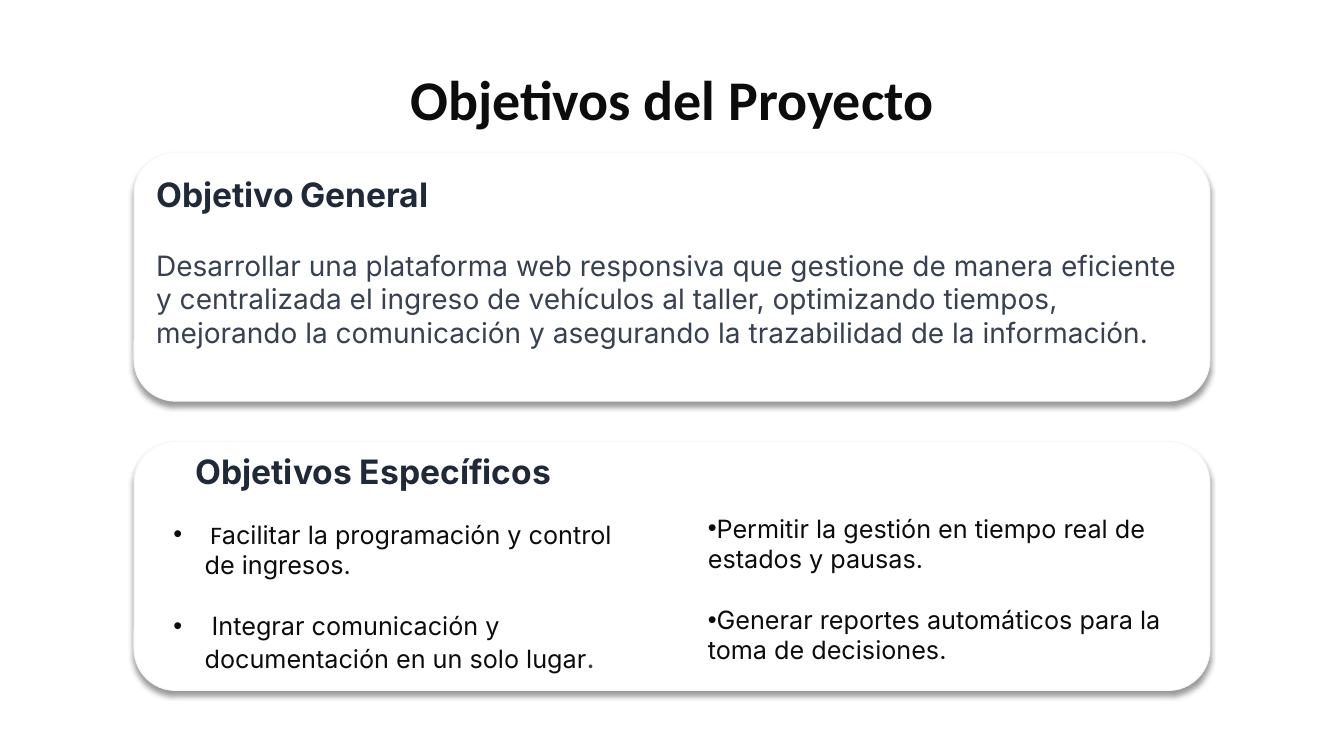
from dataclasses import dataclass

import pptx
import pptx.dml.color
import pptx.enum.shapes
import pptx.enum.text
import pptx.oxml
import pptx.oxml.ns
import pptx.util
from pptx.util import Inches, Pt


@dataclass(frozen=True)
class Theme:
    ink: str = "0C0C0C"
    heading: str = "1F2937"
    body: str = "374151"
    card: str = "FFFFFF"
    edge: str = "F4F8FB"
    title_font: str = "Calibri"
    text_font: str = "Inter"
    title_size: int = 40
    heading_size: int = 24
    body_size: int = 20
    list_size: int = 18
    list_gap: int = 22


THEME = Theme()


def rgb(color):
    return pptx.dml.color.RGBColor.from_string(color)


def style(font, size=None, color=None, name=None, bold=None):
    if size:
        font.size = Pt(size)
    if color:
        font.color.rgb = rgb(color)
    if name:
        font.name = name
    if bold is not None:
        font.bold = bold


def place(sp, x, y, w, h):
    sp.left, sp.top, sp.width, sp.height = map(Inches, (x, y, w, h))


def write(p, runs, size, color, name=THEME.text_font, bold=False):
    p.space_before = Pt(0)
    style(p.font, size, color, name, bold)
    for text, changes in runs:
        r = p.add_run()
        r.text = text
        style(r.font, **changes)


def prepare(sp, anchor=pptx.enum.text.MSO_ANCHOR.TOP):
    tf = sp.text_frame
    tf.word_wrap = True
    tf.auto_size = pptx.enum.text.MSO_AUTO_SIZE.NONE
    tf.vertical_anchor = anchor
    return tf


def add_title(s, text):
    sp = s.shapes.title
    place(sp, 3.94, 0.59, 5.45, 0.77)
    p = prepare(sp).paragraphs[0]
    p.alignment = pptx.enum.text.PP_ALIGN.CENTER
    write(p, [(text, {})], THEME.title_size, THEME.ink, THEME.title_font, True)


def add_card(s, y):
    sp = s.shapes.add_shape(
        pptx.enum.shapes.MSO_SHAPE.ROUNDED_RECTANGLE,
        Inches(1.33), Inches(y), Inches(10.67), Inches(2.47))
    sp.fill.solid()
    sp.fill.fore_color.rgb = rgb(THEME.card)
    sp.line.color.rgb = rgb(THEME.edge)
    sp.line.width = Pt(0.75)
    sp.shadow.inherit = False
    effects = sp.element.spPr.find(pptx.oxml.ns.qn("a:effectLst"))
    effects.append(pptx.oxml.parse_xml(
        f'<a:outerShdw {pptx.oxml.ns.nsdecls("a")} blurRad="{Pt(4)}" dist="{Pt(3)}" '
        'dir="5400000" algn="t" rotWithShape="0">'
        '<a:srgbClr val="000000"><a:alpha val="40000"/></a:srgbClr></a:outerShdw>'))
    s.shapes.element.insert(2, sp.element)
    return sp


def fill_general(sp, heading, text):
    tf = prepare(sp, pptx.enum.text.MSO_ANCHOR.MIDDLE)
    tf.margin_bottom = Inches(0.35)
    p = tf.paragraphs[0]
    write(p, heading, THEME.heading_size, THEME.heading, bold=True)
    p.space_after = Pt(24)
    body = tf.add_paragraph()
    write(body, [(text, {})], THEME.body_size, THEME.body)
    for p in tf.paragraphs:
        p.alignment = pptx.enum.text.PP_ALIGN.LEFT


def add_heading(s, text, x, y, w, h):
    sp = s.shapes.add_textbox(*map(Inches, (x, y, w, h)))
    write(prepare(sp).paragraphs[0], [(text, {})],
          THEME.heading_size, THEME.heading, bold=True)


def set_bullet(p, hang):
    pPr = p._p.get_or_add_pPr()
    pPr.set("marL", str(Inches(hang)))
    pPr.set("indent", str(-Inches(hang)))
    ns = pptx.oxml.ns.nsdecls("a")
    bullet = (
        f'<a:buClr {ns}><a:srgbClr val="{THEME.ink}"/></a:buClr>',
        f'<a:buFont {ns} typeface="Arial"/>',
        f'<a:buChar {ns} char="•"/>')
    default_font = pPr.find(pptx.oxml.ns.qn("a:defRPr"))
    for xml in bullet:
        default_font.addprevious(pptx.oxml.parse_xml(xml))


def fill_list(sp, box, items, hang):
    place(sp, *box)
    tf = prepare(sp)
    for i, runs in enumerate(items):
        p = tf.add_paragraph() if i else tf.paragraphs[0]
        write(p, runs, THEME.list_size, THEME.ink)
        if i:
            p.space_before = Pt(THEME.list_gap)
        set_bullet(p, hang)


def main():
    prs = pptx.Presentation()
    prs.slide_width, prs.slide_height = Inches(13.33), Inches(7.5)
    s = prs.slides.add_slide(prs.slide_layouts.get_by_name("Two Content"))
    left, right = s.placeholders[1], s.placeholders[2]

    add_title(s, "Objetivos del Proyecto")
    general = add_card(s, 1.51)
    fill_general(
        general,
        [("Objetivo", {}), (" ", {"size": THEME.body_size}), ("General", {})],
        "Desarrollar una plataforma web responsiva que gestione de manera eficiente "
        "y centralizada el ingreso de vehículos al taller, optimizando tiempos, "
        "mejorando la comunicación y asegurando la trazabilidad de la información.")

    add_card(s, 4.38)
    add_heading(s, "Objetivos Específicos", 1.84, 4.42, 5.01, 0.91)
    fill_list(left, (1.62, 5.1, 4.65, 1.65), [
        [(" F", {"name": THEME.title_font}),
         ("acilitar la programación y control de ingresos.", {})],
        [(" Integrar comunicación y documentación en un solo lugar", {}),
         (".", {"size": THEME.body_size, "color": THEME.body})],
    ], 0.31)
    fill_list(right, (6.92, 5.04, 5.01, 1.92), [
        [("Permitir la gestión en tiempo real de estados y pausas.", {})],
        [("Generar reportes automáticos para la toma de decisiones.", {})],
    ], 0)
    prs.save("out.pptx")


if __name__ == "__main__":
    main()
